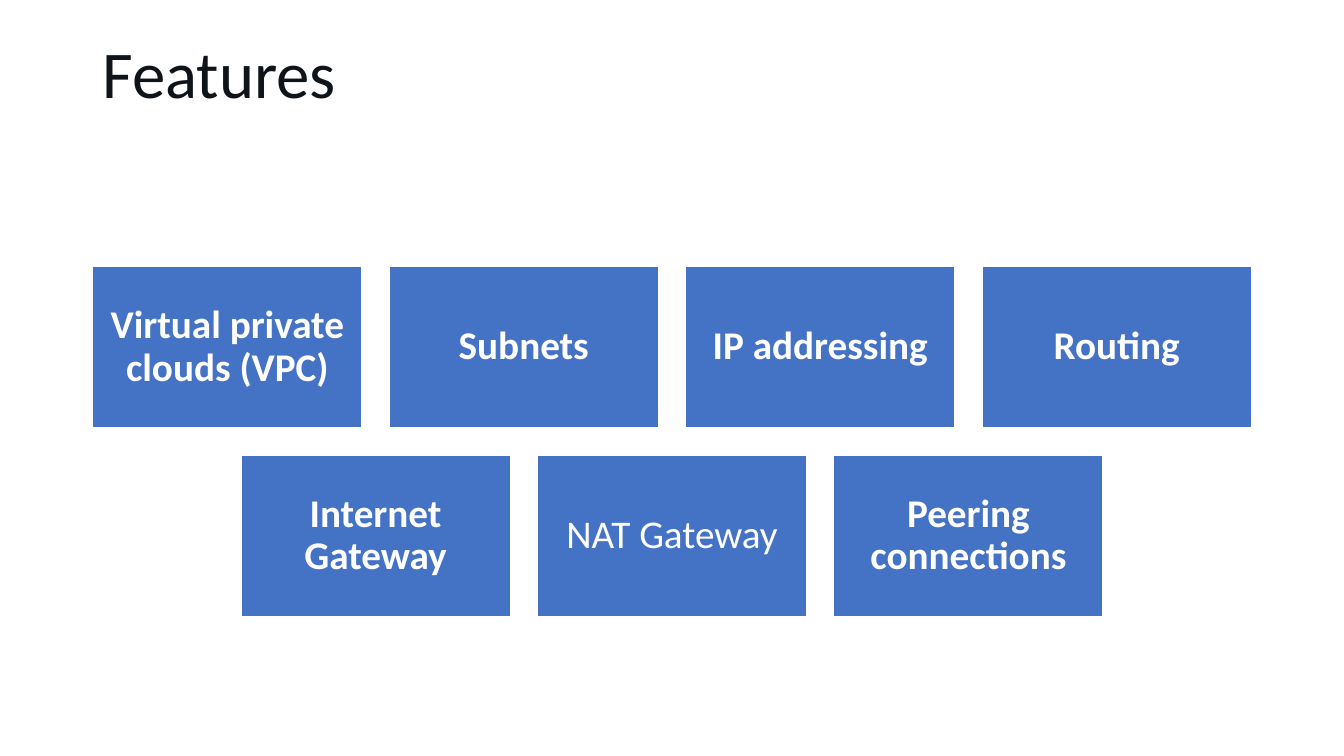
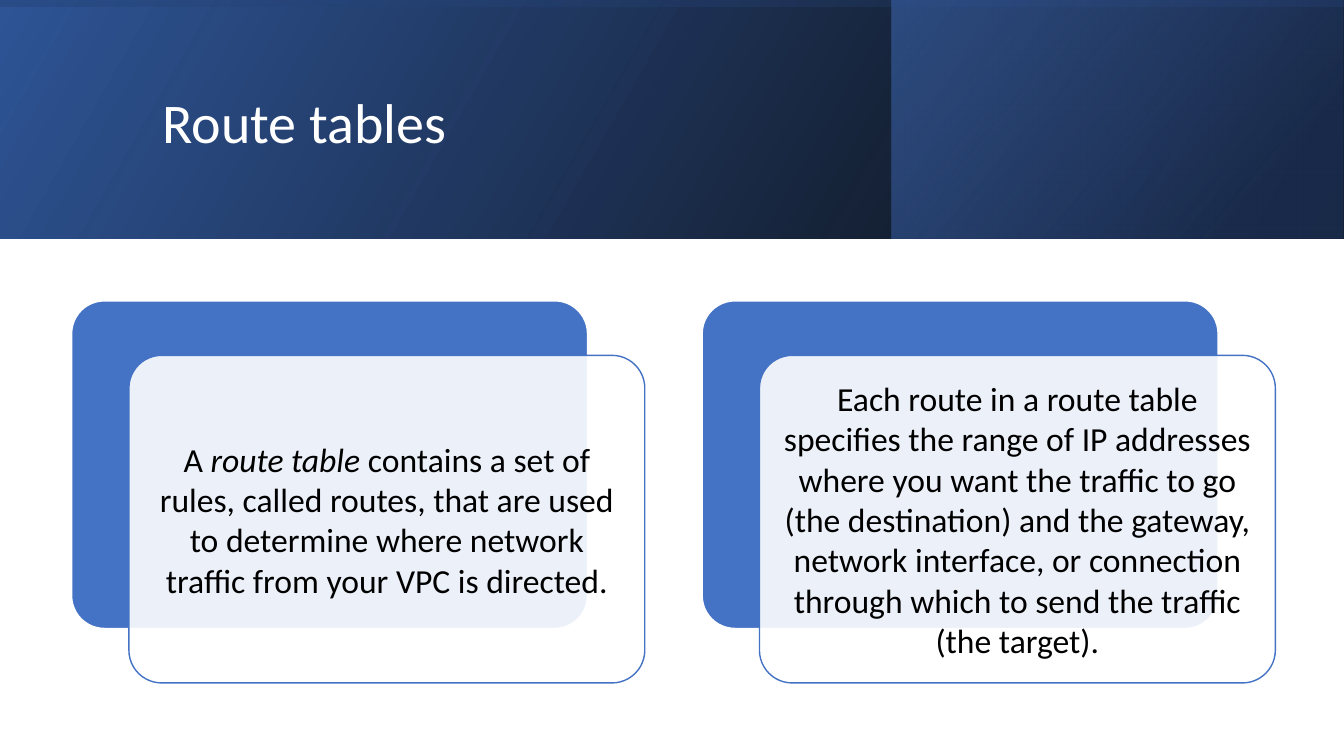
from dataclasses import dataclass

from lxml.etree import SubElement
from pptx import Presentation
from pptx.dml.color import RGBColor
from pptx.enum.shapes import MSO_AUTO_SHAPE_TYPE as Preset
from pptx.enum.text import MSO_ANCHOR as Anchor, MSO_AUTO_SIZE as AutoSize, PP_ALIGN as Align
from pptx.oxml import parse_xml
from pptx.oxml.ns import nsdecls, qn
from pptx.shapes.autoshape import Shape
from pptx.slide import Slide
from pptx.util import Pt

PAGE_WIDTH, PAGE_HEIGHT = 960, 540
FONT = "Calibri"
BLUE, DEEP_BLUE, NAVY = "4472C4", "2F5597", "203864"
WHITE, BLACK, INK = "FFFFFF", "000000", "0F141A"


@dataclass(frozen=True)
class Frame:
    left: float
    top: float
    width: float
    height: float


@dataclass(frozen=True)
class Stop:
    position: int
    colour: str
    opacity: int = 100


@dataclass(frozen=True)
class Band:
    frame: Frame
    stops: tuple[Stop, ...]
    angle: int
    rotation: int = 0


@dataclass(frozen=True)
class Span:
    text: str
    bold: bool = False
    italic: bool = False


BAND_HEIGHT = 170.6
BAND_SHIFT = (PAGE_WIDTH - BAND_HEIGHT) / 2
BANDS = (
    Band(Frame(0, 0, PAGE_WIDTH, BAND_HEIGHT),
         (Stop(0, BLACK, 96), Stop(100, DEEP_BLUE)), 330),
    Band(Frame(636.6, 0, 322.8, BAND_HEIGHT),
         (Stop(19, NAVY, 68), Stop(100, BLUE, 48)), 320),
    Band(Frame(BAND_SHIFT, -BAND_SHIFT, BAND_HEIGHT, PAGE_WIDTH),
         (Stop(23, DEEP_BLUE, 16), Stop(99, BLACK, 45)), 350, 270),
)

FEATURE_ROWS = (
    (Span("Virtual private clouds (VPC)", bold=True), Span("Subnets", bold=True),
     Span("IP addressing", bold=True), Span("Routing", bold=True)),
    (Span("Internet Gateway", bold=True), Span("NAT Gateway"),
     Span("Peering connections", bold=True)),
)

ROUTE_CARDS = (
    (Span("A "), Span("route table", italic=True),
     Span(" contains a set of rules, called routes, that are used to determine "
          "where network traffic from your VPC is directed.")),
    (Span("Each route in a route table specifies the range of IP addresses where "
          "you want the traffic to go (the destination) and the gateway, network "
          "interface, or connection through which to send the traffic (the target)."),),
)


def rgb(colour: str) -> RGBColor:
    return RGBColor.from_string(colour)


def place(shape: Shape, frame: Frame) -> None:
    shape.left, shape.top = Pt(frame.left), Pt(frame.top)
    shape.width, shape.height = Pt(frame.width), Pt(frame.height)


def add_box(page: Slide, preset: Preset, frame: Frame, fill: str, line: str) -> Shape:
    box = page.shapes.add_shape(preset, 0, 0, 0, 0)
    place(box, frame)
    box.shadow.inherit = False
    box.fill.solid()
    box.fill.fore_color.rgb = rgb(fill)
    box.line.color.rgb = rgb(line)
    box.line.width = Pt(1)
    return box


def write(box: Shape, spans: tuple[Span, ...], size: float, colour: str,
          inset: float, spacing: float = 1, align: Align = Align.CENTER) -> None:
    frame = box.text_frame
    frame.word_wrap = True
    frame.auto_size = AutoSize.NONE
    frame.vertical_anchor = Anchor.MIDDLE
    frame.margin_left = frame.margin_right = Pt(inset)
    frame.margin_top = frame.margin_bottom = Pt(inset)
    para = frame.paragraphs[0]
    para.alignment = align
    para.line_spacing = spacing
    para.font.name = FONT
    para.font.size = Pt(size)
    para.font.color.rgb = rgb(colour)
    for span in spans:
        run = para.add_run()
        run.text = span.text
        if span.bold:
            run.font.bold = True
        if span.italic:
            run.font.italic = True


def add_title(page: Slide, text: str, frame: Frame, size: float, colour: str) -> None:
    title = page.shapes.title
    place(title, frame)
    write(title, (Span(text),), size, colour, 7.2, 0.9, Align.LEFT)
    page.shapes.element.append(title.element)


def add_band(page: Slide, band: Band) -> None:
    box = page.shapes.add_shape(Preset.RECTANGLE, 0, 0, 0, 0)
    place(box, band.frame)
    box.rotation = band.rotation
    box.shadow.inherit = False
    box.line.fill.background()
    box.fill.background()
    stops = "".join(
        f'<a:gs pos="{stop.position * 1000}"><a:srgbClr val="{stop.colour}">'
        f'<a:alpha val="{stop.opacity * 1000}"/></a:srgbClr></a:gs>'
        for stop in band.stops)
    gradient = parse_xml(
        f'<a:gradFill {nsdecls("a")}><a:gsLst>{stops}</a:gsLst>'
        f'<a:lin ang="{band.angle * 60000}" scaled="0"/></a:gradFill>')
    properties = box.element.spPr
    properties.replace(properties.find(qn("a:noFill")), gradient)
    properties.find(qn("a:xfrm")).set("flipH", "1")


def add_card(page: Slide, frame: Frame, spans: tuple[Span, ...]) -> None:
    offset = Frame(frame.left + 40.9, frame.top + 38.9, frame.width, frame.height)
    back = add_box(page, Preset.ROUNDED_RECTANGLE, frame, BLUE, WHITE)
    front = add_box(page, Preset.ROUNDED_RECTANGLE, offset, WHITE, BLUE)
    for box in (back, front):
        box.adjustments[0] = 0.1
    colour = front.element.spPr.find(qn("a:solidFill"))[0]
    SubElement(colour, qn("a:alpha")).set("val", "90000")
    write(front, spans, 24, BLACK, 7.2)


def build_features(page: Slide) -> None:
    add_title(page, "Features", Frame(66, 28.8, 828, 52.4), 47.7, INK)
    width, height, gap = 192.5, 115.5, 19.25
    for row, spans in enumerate(FEATURE_ROWS):
        row_width = len(spans) * (width + gap) - gap
        left = (PAGE_WIDTH - row_width) / 2
        top = 190.3 + row * (height + gap)
        for column, span in enumerate(spans):
            frame = Frame(left + column * (width + gap), top, width, height)
            box = add_box(page, Preset.RECTANGLE, frame, BLUE, WHITE)
            write(box, (span,), 28, WHITE, 8.4, 0.9)


def build_route_tables(page: Slide) -> None:
    for band in BANDS:
        add_band(page, band)
    add_title(page, "Route tables", Frame(108.9, 27.6, 765, 124), 40, WHITE)
    for column, spans in enumerate(ROUTE_CARDS):
        add_card(page, Frame(51.2 + column * 450.4, 214.9, 368.5, 234), spans)


def main() -> None:
    deck = Presentation()
    deck.slide_width, deck.slide_height = Pt(PAGE_WIDTH), Pt(PAGE_HEIGHT)
    for build in (build_features, build_route_tables):
        build(deck.slides.add_slide(deck.slide_layouts.get_by_name("Title Only")))
    deck.save("out.pptx")


if __name__ == "__main__":
    main()
